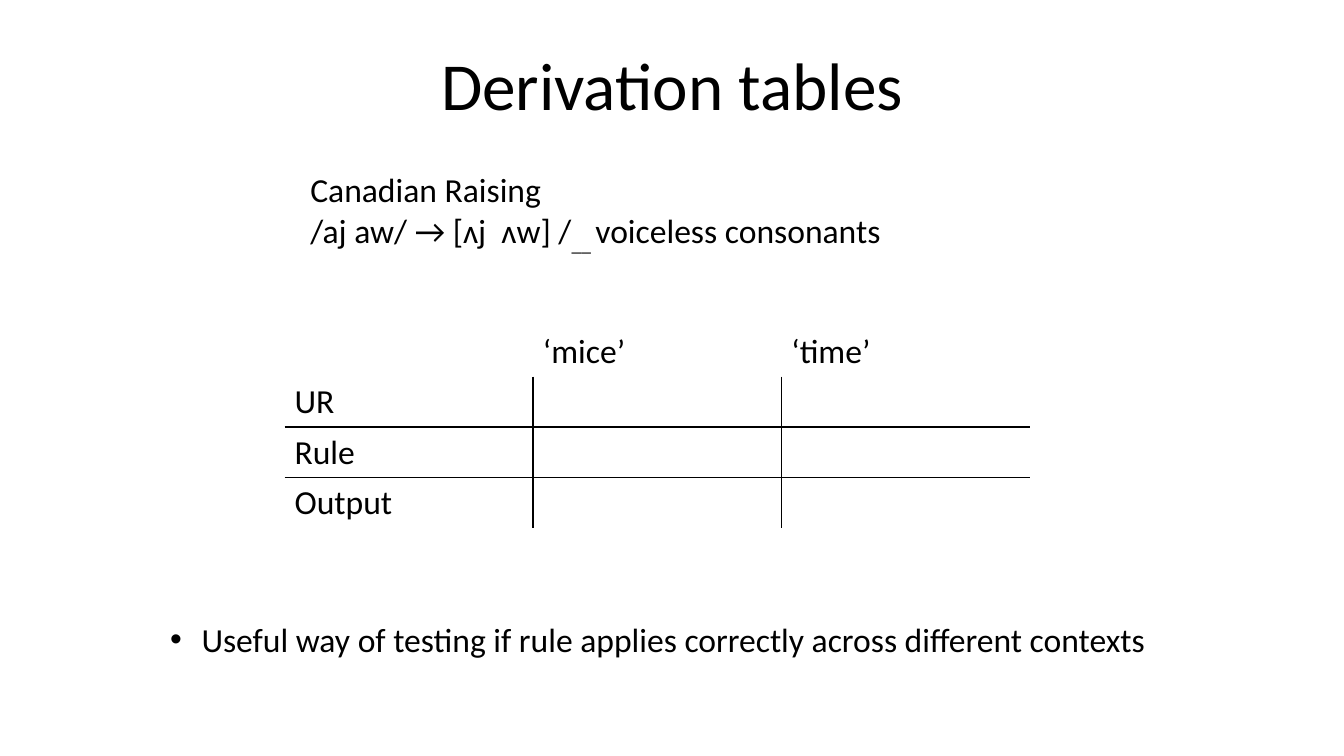
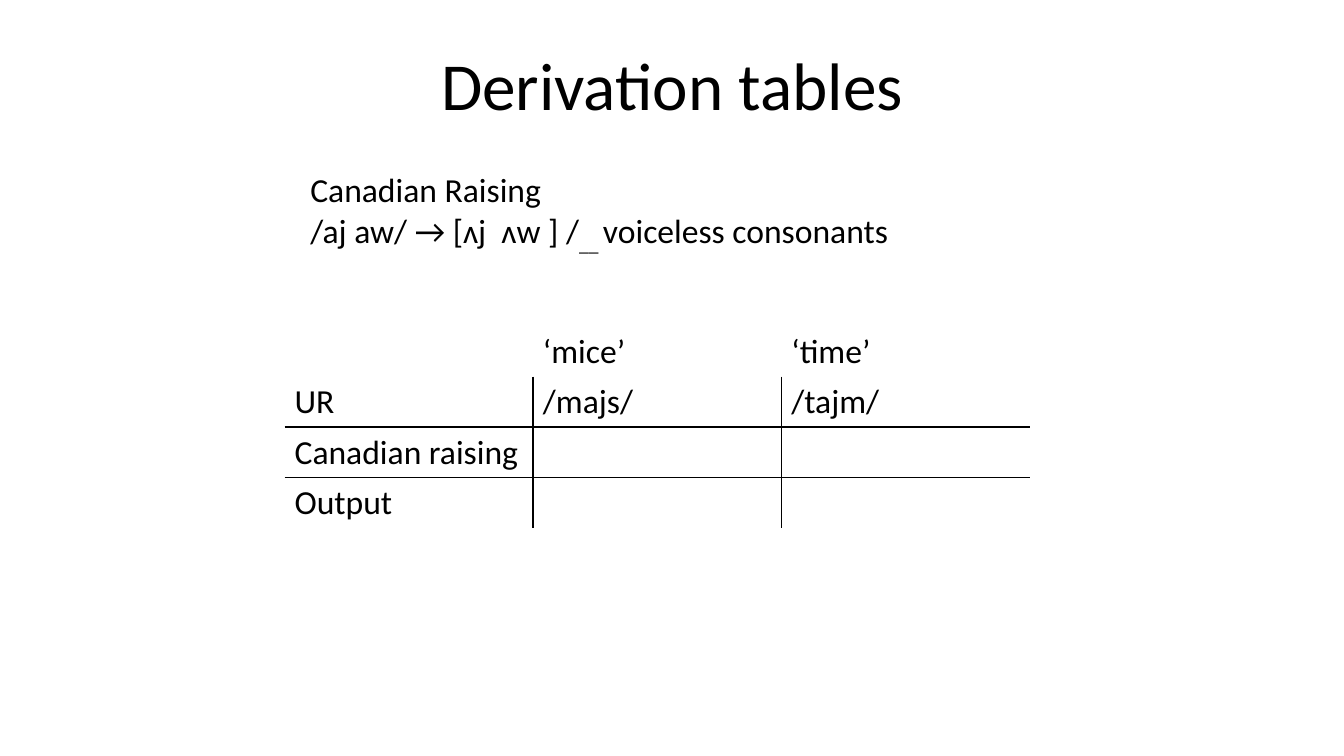
from dataclasses import dataclass

from lxml import etree
from pptx import Presentation
from pptx.dml.color import RGBColor
from pptx.enum.text import MSO_ANCHOR, PP_ALIGN
from pptx.oxml.ns import qn
from pptx.util import Cm, Pt

LEFT, CENTER = PP_ALIGN.LEFT, PP_ALIGN.CENTER
TOP, MIDDLE = MSO_ANCHOR.TOP, MSO_ANCHOR.MIDDLE

COLORS = {"ink": "000000", "page": "FFFFFF"}
FONT = "Calibri"
PLAIN = "{2D5ABB26-0587-4C30-8999-92F81FD0307C}"  # table style without grid
COL_W, ROW_H = Cm(6.26), Cm(1.27)


@dataclass(frozen=True)
class Box:
    x: float
    y: float
    w: float
    h: float


@dataclass(frozen=True)
class Page:
    change: str
    rows: list[list[str]]
    note: str = ""


TITLE = Box(1.7, 0.76, 30.48, 2.69)
RULE = Box(7.57, 4.14, 19.41, 3.33)
NOTE = Box(4.04, 15.47, 26.75, 1.27)
GRID_X, GRID_Y = Cm(7.17), Cm(8.22)
HEAD = ["", "‘mice’", "‘time’"]

PAGES = [
    Page(
        "/aj aw/ → [ʌj  ʌw] /",
        [HEAD, ["UR", "", ""], ["Rule", "", ""], ["Output", "", ""]],
        "Useful way of testing if rule applies correctly across different contexts",
    ),
    Page(
        "/aj aw/ → [ʌj  ʌw ] /",
        [HEAD, ["UR", "/majs/", "/tajm/"], ["Canadian raising", "", ""], ["Output", "", ""]],
    ),
]


def write(par, text: str, size: int = 24, align=LEFT, base: int = 0, bullet: bool = False) -> None:
    """Add one run to a paragraph, with its format."""
    par.alignment = align
    run = par.add_run()
    run.text = text
    font = run.font
    font.name, font.size = FONT, Pt(size)
    font.color.rgb = RGBColor.from_string(COLORS["ink"])
    if base:
        font._element.set("baseline", str(base * 1000))
    if bullet:
        props = par._p.get_or_add_pPr()
        props.set("marL", str(Cm(0.79)))
        props.set("indent", str(-Cm(0.79)))
        etree.SubElement(props, qn("a:buFont"), typeface="Arial")
        etree.SubElement(props, qn("a:buChar"), char="•")


def frame(slide, box: Box, anchor=TOP):
    """Add a wrapping text box and return its text frame."""
    area = slide.shapes.add_textbox(Cm(box.x), Cm(box.y), Cm(box.w), Cm(box.h)).text_frame
    area.word_wrap = True
    area.vertical_anchor = anchor
    return area


def border(cell, side: str) -> None:
    line = etree.SubElement(cell._tc.get_or_add_tcPr(), qn(f"a:ln{side}"), w=str(Pt(1)))
    fill = etree.SubElement(line, qn("a:solidFill"))
    etree.SubElement(fill, qn("a:srgbClr"), val=COLORS["ink"])


def grid(slide, rows: list[list[str]]) -> None:
    """Add a table ruled only between its cells, below the head row."""
    deep, wide = len(rows), len(rows[0])
    shape = slide.shapes.add_table(deep, wide, GRID_X, GRID_Y, COL_W * wide, ROW_H * deep)
    table = shape.table
    table.first_row = table.horz_banding = False
    table._tbl.tblPr.find(qn("a:tableStyleId")).text = PLAIN
    for r, row in enumerate(rows):
        for c, text in enumerate(row):
            cell = table.cell(r, c)
            sides = {
                "L": r > 0 and c > 0,
                "R": r > 0 and c < wide - 1,
                "T": r > 1,
                "B": 0 < r < deep - 1,
            }
            for side, drawn in sides.items():
                if drawn:
                    border(cell, side)
            cell.fill.background()
            if text:
                write(cell.text_frame.paragraphs[0], text)


def build(deck, page: Page) -> None:
    slide = deck.slides.add_slide(deck.slide_layouts[6])
    back = slide.background.fill
    back.solid()
    back.fore_color.rgb = RGBColor.from_string(COLORS["page"])

    # Title
    write(frame(slide, TITLE, MIDDLE).paragraphs[0], "Derivation tables", size=48, align=CENTER)

    # Rule, with a lowered blank
    area = frame(slide, RULE)
    write(area.paragraphs[0], "Canadian Raising")
    par = area.add_paragraph()
    write(par, page.change)
    write(par, "__ ", base=-25)
    write(par, "voiceless consonants")

    # Derivation and note
    grid(slide, page.rows)
    if page.note:
        write(frame(slide, NOTE).paragraphs[0], page.note, bullet=True)


def main() -> None:
    deck = Presentation()
    deck.slide_width, deck.slide_height = Cm(33.87), Cm(19.05)
    for page in PAGES:
        build(deck, page)
    deck.save("out.pptx")


if __name__ == "__main__":
    main()
